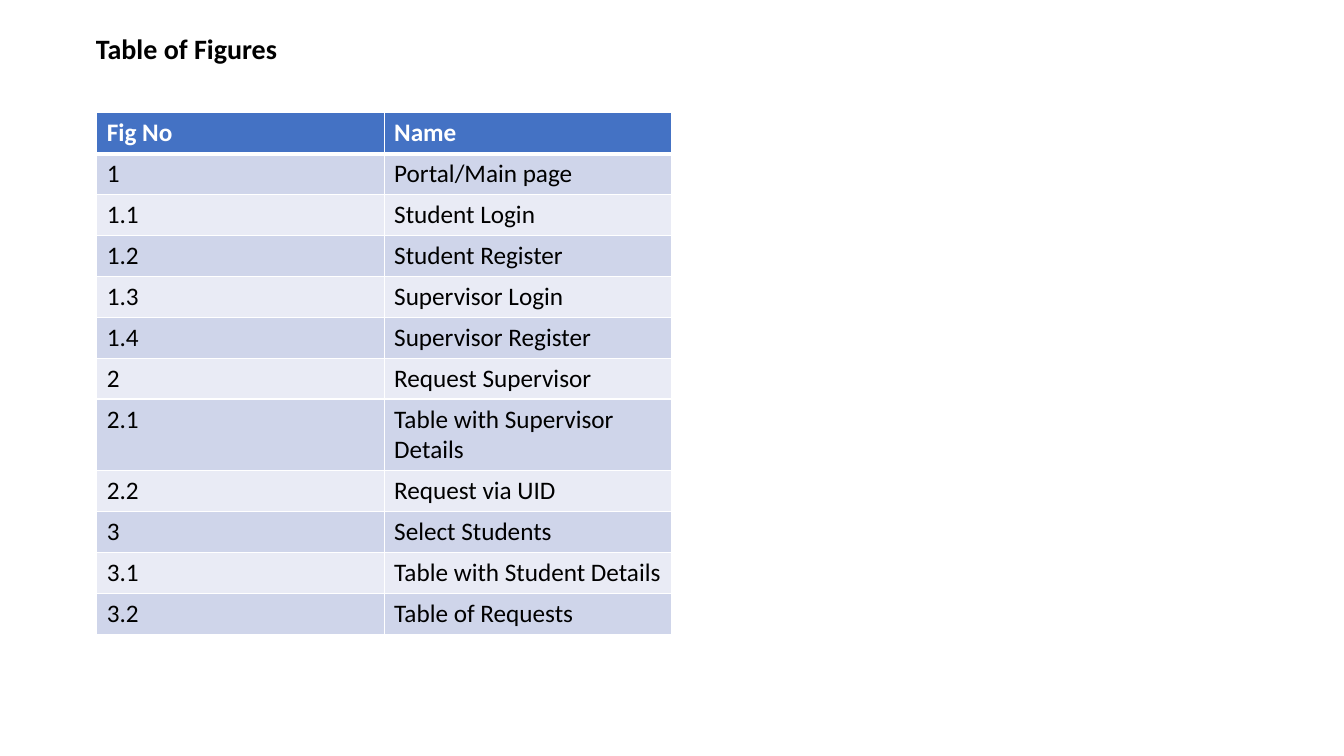
import lxml.etree
import pptx
import pptx.dml.color
import pptx.enum.text
import pptx.oxml.ns
import pptx.util

Inches = pptx.util.Inches
Pt = pptx.util.Pt
RGBColor = pptx.dml.color.RGBColor

TITLE = "Table of Figures"
FIGURES = [
    ("Fig No", "Name"),
    ("1", "Portal/Main page"),
    ("1.1", "Student Login"),
    ("1.2", "Student Register"),
    ("1.3", "Supervisor Login"),
    ("1.4", "Supervisor Register"),
    ("2", "Request Supervisor"),
    ("2.1", "Table with Supervisor Details"),
    ("2.2", "Request via UID"),
    ("3", "Select Students"),
    ("3.1", "Table with Student Details"),
    ("3.2", "Table of Requests"),
]

FONT = "Calibri"
BLACK = RGBColor(0x00, 0x00, 0x00)
WHITE = RGBColor(0xFF, 0xFF, 0xFF)
HEADER_BLUE = RGBColor(0x44, 0x72, 0xC4)
BANDS = (RGBColor(0xE9, 0xEB, 0xF5), RGBColor(0xCF, 0xD5, 0xEA))

COLUMN_WIDTH = 2.85
ROW_HEIGHT = 0.4


def write_text(frame, text, size=18, color=BLACK, bold=False):
    frame.word_wrap = True
    para = frame.paragraphs[0]
    para.alignment = pptx.enum.text.PP_ALIGN.LEFT
    span = para.add_run()
    span.text = text
    span.font.name = FONT
    span.font.size = Pt(size)
    span.font.bold = bold
    span.font.color.rgb = color


def set_borders(cell, **widths):
    """Draw white borders; widths are points keyed by side: L, R, T, B."""
    properties = cell._tc.get_or_add_tcPr()
    qn = pptx.oxml.ns.qn
    for position, (side, width) in enumerate(widths.items()):
        line = lxml.etree.Element(qn(f"a:ln{side}"), w=str(Pt(width)))
        fill = lxml.etree.SubElement(line, qn("a:solidFill"))
        lxml.etree.SubElement(fill, qn("a:srgbClr"), val=str(WHITE))
        properties.insert(position, line)


def add_title(page):
    title = page.shapes.title
    title.left, title.top = Inches(0.85), Inches(0.26)
    title.width, title.height = Inches(6.67), Inches(0.44)
    title.text_frame.auto_size = pptx.enum.text.MSO_AUTO_SIZE.NONE
    title.text_frame.vertical_anchor = pptx.enum.text.MSO_ANCHOR.MIDDLE
    write_text(title.text_frame, TITLE, size=20, bold=True)


def add_figure_table(page):
    row_count, column_count = len(FIGURES), len(FIGURES[0])
    table = page.shapes.add_table(
        row_count, column_count, Inches(0.96), Inches(1.12),
        Inches(COLUMN_WIDTH * column_count), Inches(ROW_HEIGHT * row_count),
    ).table
    for row, texts in enumerate(FIGURES):
        header = row == 0
        for column, text in enumerate(texts):
            cell = table.cell(row, column)
            cell.fill.solid()
            cell.fill.fore_color.rgb = HEADER_BLUE if header else BANDS[row % 2]
            set_borders(cell, L=1, R=1, T=3 if row == 1 else 1, B=3 if header else 1)
            write_text(cell.text_frame, text, color=WHITE if header else BLACK, bold=header)


def main():
    deck = pptx.Presentation()
    deck.slide_width, deck.slide_height = Inches(13.33), Inches(7.5)
    page = deck.slides.add_slide(deck.slide_layouts[5])
    add_title(page)
    add_figure_table(page)
    deck.save("out.pptx")


if __name__ == "__main__":
    main()
